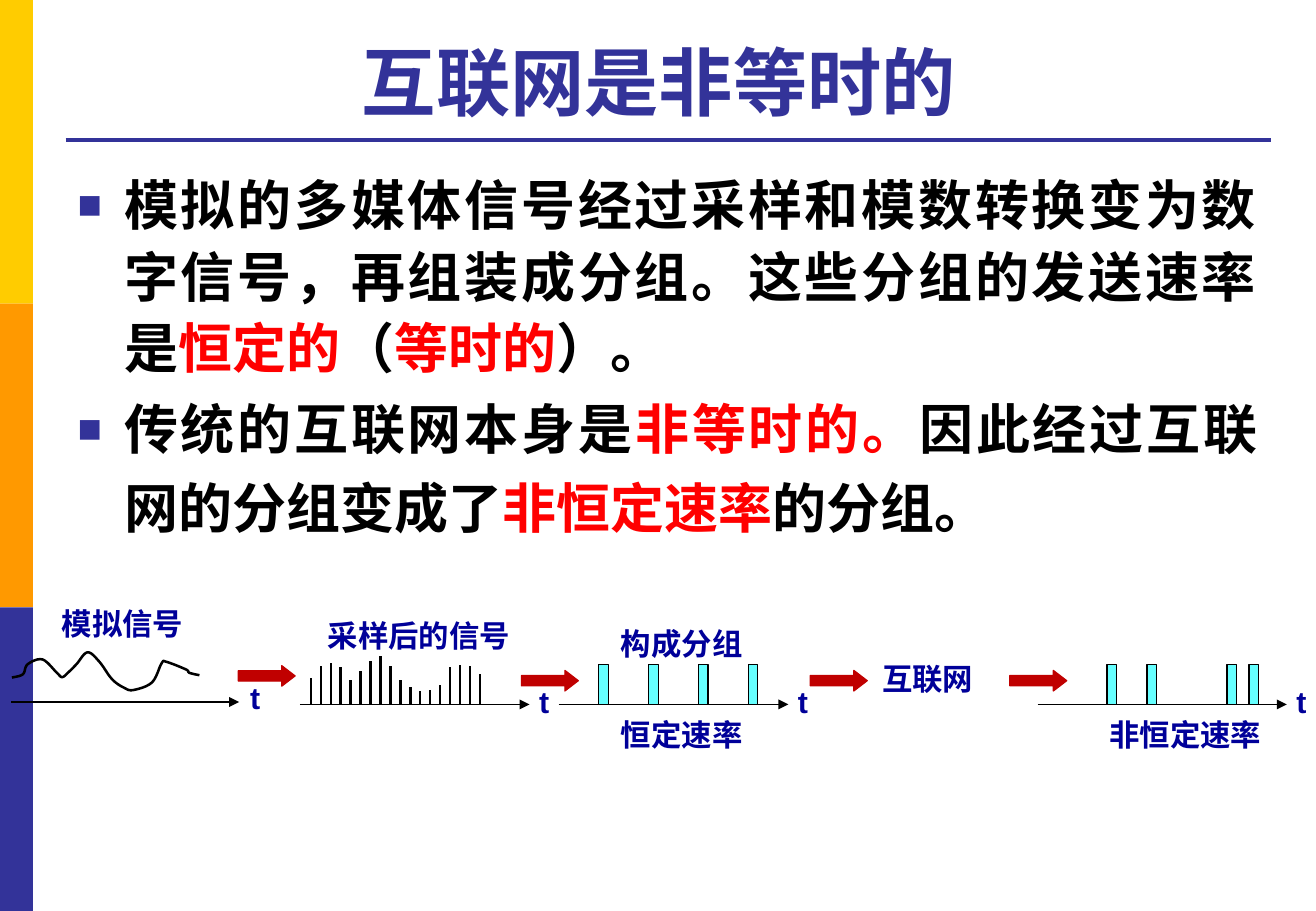
import pptx
import pptx.util
import pptx.dml.color
import pptx.enum.dml
import pptx.enum.shapes
import pptx.enum.text
import pptx.oxml
import pptx.oxml.ns

Cm, Pt = pptx.util.Cm, pptx.util.Pt
SHAPE = pptx.enum.shapes.MSO_SHAPE

NAVY, BLUE, RED, BLACK = "333399", "000099", "FF0000", "000000"
BRICK, CYAN = "C00000", "66FFFF"
BANDS = ["FFCC00", "FF9900", NAVY]
TITLE = "互联网是非等时的 "
BODY = [
    [("模拟的多媒体信号经过采样和模数转换变为数字信号，再组装成分组。这些分组的发送速率是", BLACK, 32),
     ("恒定的", RED, 32), ("（", BLACK, 32), ("等时的", RED, 32), ("）。", BLACK, 32)],
    [("传统的互联网本身是", BLACK, 32), ("非等时的。", RED, 32),
     ("因此经过互联网的分组变成了", BLACK, 32), ("非恒定速率", RED, 32),
     ("的分组。", BLACK, 32), (" ", BLACK, 36)],
]
BASE = 14.73
AXES = [(0.23, 5.0, 14.68, 0.75), (6.27, 11.07, BASE, 1),
        (11.68, 16.48, BASE, 1), (21.69, 26.9, BASE, 1)]
LABELS = [("模拟信号", 1.04, 12.52, 3.1), ("采样后的信号", 6.6, 12.78, 4.39),
          ("构成分组", 12.73, 12.95, 3.1), ("恒定速率", 12.73, 14.86, 3.1),
          ("互联网", 18.19, 13.67, 2.44), ("非恒定速率", 22.94, 14.86, 3.73),
          ("t", 4.98, 14.07, 0.74), ("t", 11.02, 14.17, 0.74),
          ("t", 16.43, 14.17, 0.74), ("t", 26.85, 14.17, 0.74)]
ARROWS = [(4.98, 13.92), (10.9, 14.02), (16.94, 14.02), (21.11, 14.02)]
SAMPLES = [0.56, 0.81, 0.86, 0.79, 0.51, 0.69, 0.91, 1.02, 0.8,
           0.51, 0.36, 0.28, 0.3, 0.41, 0.79, 0.82, 0.81, 0.64]
SAMPLE_LEFT, SAMPLE_RIGHT = 6.5, 10.03
PACKETS = [12.52 + 1.04 * i for i in range(4)] + [23.14, 23.98, 25.65, 26.11]
PACKET_W, PACKET_H = 0.2, 0.84
WAVE = [(0.25, 14.17), (0.48, 14.1), (0.58, 13.89), (0.89, 13.79), (1.19, 14.07),
        (1.3, 14.16), (1.42, 14.07), (1.6, 13.89), (1.83, 13.64), (2.08, 13.84),
        (2.34, 14.2), (2.59, 14.38), (2.79, 14.43), (3.18, 14.27), (3.38, 13.87),
        (3.48, 13.84), (3.89, 14.0), (3.96, 14.07), (4.17, 14.12)]


def rgb(value):
    return pptx.dml.color.RGBColor.from_string(value)


def add_xml(parent, tag, **attrs):
    el = pptx.oxml.parse_xml(f'<a:{tag} {pptx.oxml.ns.nsdecls("a")}/>')
    for key, value in attrs.items():
        el.set(key, str(value))
    parent.append(el)
    return el


def add_run(p, text, size, color):
    r = p.add_run()
    r.text = text
    r.font.name, r.font.size, r.font.bold = "Arial", Pt(size), True
    r.font.color.rgb = rgb(color)


def paint(sp, fill, line, width=0.75):
    sp.shadow.inherit = False
    if fill:
        sp.fill.solid()
        sp.fill.fore_color.rgb = rgb(fill)
    else:
        sp.fill.background()
    if line:
        sp.line.color.rgb = rgb(line)
        sp.line.width = Pt(width)
    else:
        sp.line.fill.background()


def add_line(x1, y1, x2, y2, color, width, arrow=False):
    cx = s.shapes.add_connector(pptx.enum.shapes.MSO_CONNECTOR.STRAIGHT,
                                Cm(x1), Cm(y1), Cm(x2), Cm(y2))
    cx.line.color.rgb = rgb(color)
    cx.line.width = Pt(width)
    if arrow:
        add_xml(cx.line._get_or_add_ln(), "tailEnd", type="triangle")
    add_xml(cx._element.spPr, "effectLst")


def add_path(points, fill, width):
    pts = [(Cm(x), Cm(y)) for x, y in points]
    fb = s.shapes.build_freeform(*pts[0])
    fb.add_line_segments(pts[1:], close=False)
    paint(fb.convert_to_shape(), fill, BLACK, width)


def smooth(points, steps=6):
    ends = [points[0]] + points + [points[-1]]
    curve = []
    for a, b, c, d in zip(ends, ends[1:], ends[2:], ends[3:]):
        for k in range(steps):
            t = k / steps
            curve.append(tuple(
                q + t * (r - p + t * (2 * p - 5 * q + 4 * r - u
                                      + t * (3 * (q - r) + u - p))) / 2
                for p, q, r, u in zip(a, b, c, d)))
            if k == 0:
                curve[-1] = b
    return curve + [points[-1]]


def place(sp, x, y, w, h):
    sp.left, sp.top, sp.width, sp.height = Cm(x), Cm(y), Cm(w), Cm(h)
    sp.text_frame.word_wrap = True
    sp.text_frame.auto_size = pptx.enum.text.MSO_AUTO_SIZE.NONE
    return sp.text_frame


prs = pptx.Presentation()
prs.slide_width, prs.slide_height = Cm(27.51), Cm(19.05)
s = prs.slides.add_slide(prs.slide_layouts[1])

for i, color in enumerate(BANDS):
    sp = s.shapes.add_shape(SHAPE.RECTANGLE, 0, Cm(6.35 * i), Cm(0.69), Cm(6.35))
    paint(sp, color, None)
add_line(1.37, 2.92, 26.57, 2.92, NAVY, 2.25)

tf = place(s.shapes.title, 1.37, 0.53, 25.17, 2.21)
tf.vertical_anchor = pptx.enum.text.MSO_ANCHOR.BOTTOM
p = tf.paragraphs[0]
p.alignment = pptx.enum.text.PP_ALIGN.CENTER
add_run(p, TITLE, 44, NAVY)

tf = place(s.placeholders[1], 1.37, 3.33, 25.17, 13.72)
for i, runs in enumerate(BODY):
    p = tf.add_paragraph() if i else tf.paragraphs[0]
    pPr = p._p.get_or_add_pPr()
    pPr.set("marL", str(Cm(0.97)))
    pPr.set("indent", str(-Cm(0.97)))
    add_xml(add_xml(pPr, "buClr"), "srgbClr", val=NAVY)
    add_xml(pPr, "buSzPct", val=75000)
    add_xml(pPr, "buFont", typeface="Arial")
    add_xml(pPr, "buChar", char="■")
    p.alignment = pptx.enum.text.PP_ALIGN.JUSTIFY
    p.line_spacing = 1.1
    p.space_before = Pt(6 if i else 0)
    for text, color, size in runs:
        add_run(p, text, size, color)

for x1, x2, y, width in AXES:
    add_line(x1, y, x2, y, BLACK, width, arrow=True)
add_path(smooth(WAVE), None, 1.5)
step = (SAMPLE_RIGHT - SAMPLE_LEFT) / (len(SAMPLES) - 1)
for i, height in enumerate(SAMPLES):
    x = SAMPLE_LEFT + step * i
    add_line(x, BASE, x, BASE - height, BLACK, 1.5)
for x in PACKETS:
    top, right = BASE - PACKET_H, x + PACKET_W
    add_path([(x, BASE), (x, top), (right, top), (right, BASE)], CYAN, 0.75)

for text, x, y, w in LABELS:
    tf = s.shapes.add_textbox(Cm(x), Cm(y), Cm(w), Cm(1.02)).text_frame
    tf.word_wrap = False
    tf.auto_size = pptx.enum.text.MSO_AUTO_SIZE.SHAPE_TO_FIT_TEXT
    add_run(tf.paragraphs[0], text, 18, BLUE)

for x, y in ARROWS:
    sp = s.shapes.add_shape(SHAPE.RIGHT_ARROW, Cm(x), Cm(y), Cm(1.19), Cm(0.43))
    sp.adjustments[0], sp.adjustments[1] = 0.5, 0.65
    paint(sp, BRICK, BRICK)

prs.save("out.pptx")
